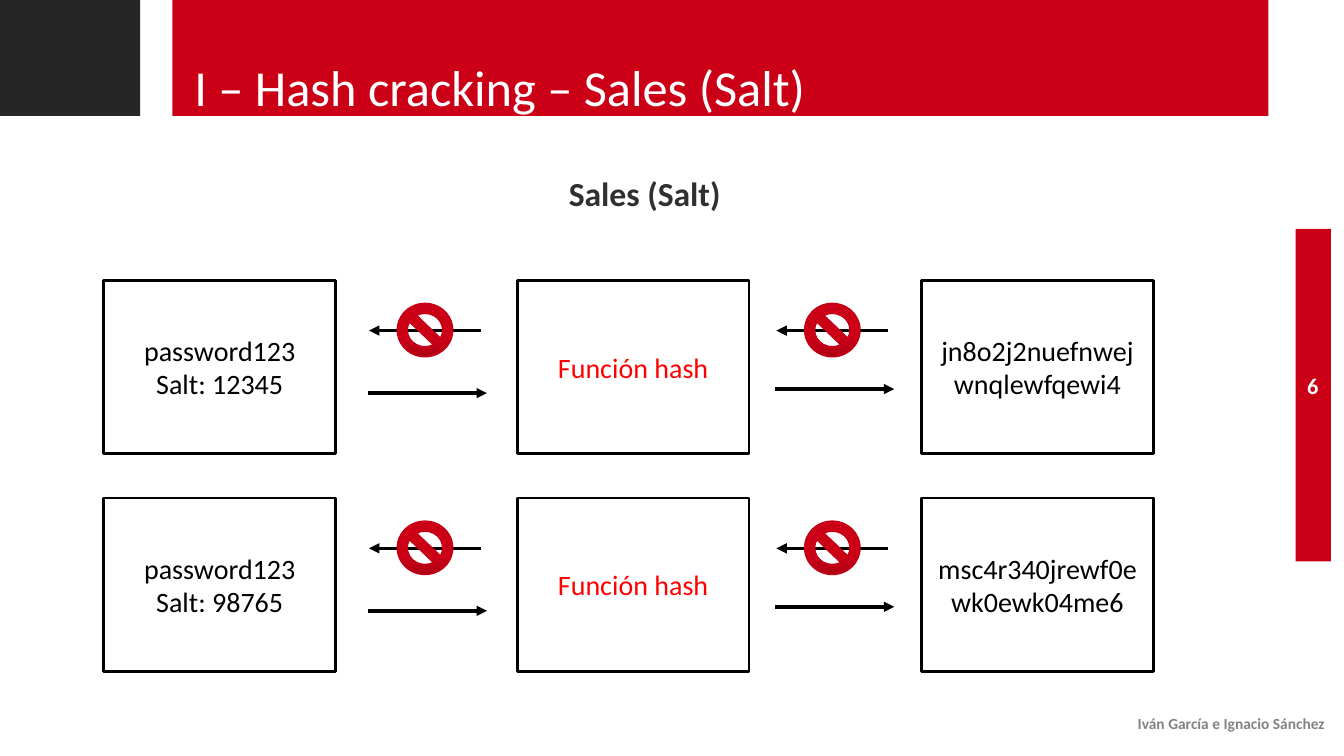
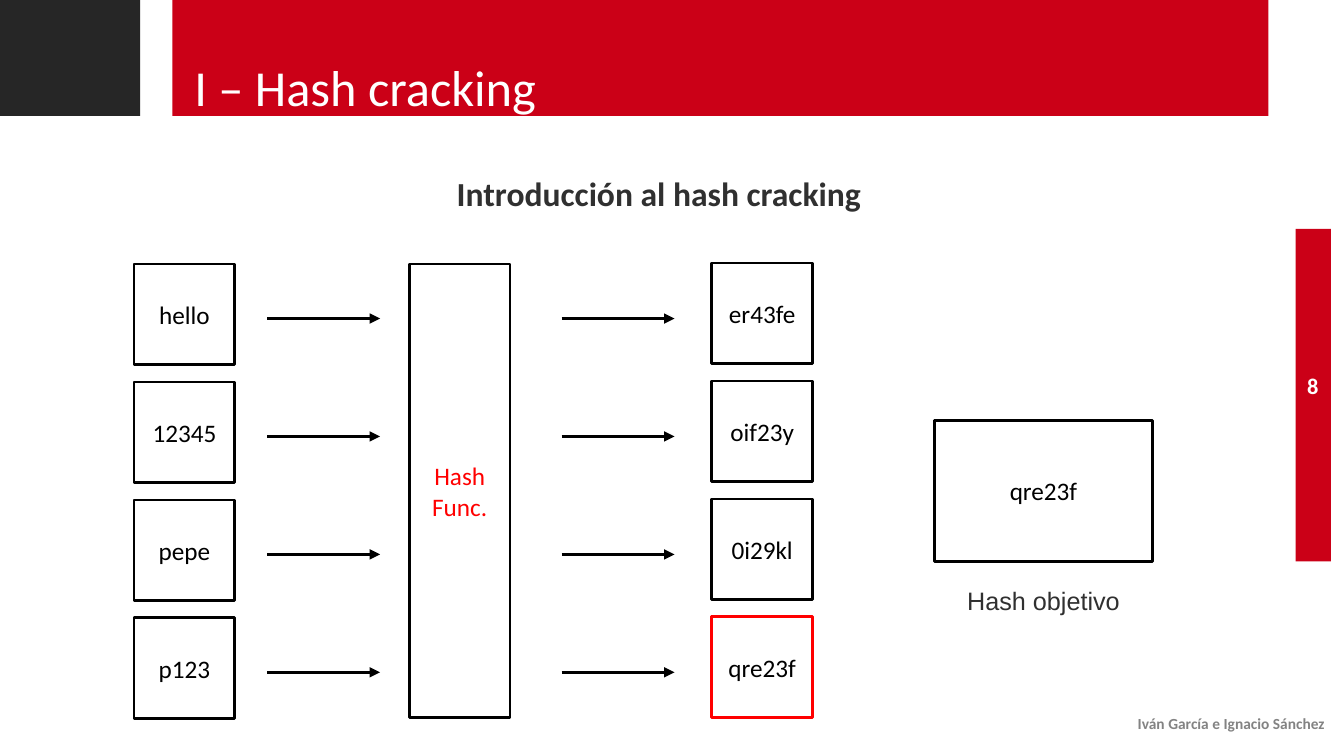
from pptx import Presentation
from pptx.dml.color import RGBColor
from pptx.enum.shapes import MSO_CONNECTOR, MSO_SHAPE
from pptx.enum.text import MSO_ANCHOR, PP_ALIGN
from pptx.oxml.ns import qn
from pptx.util import Inches, Pt
from lxml.etree import SubElement

RED = RGBColor(0xCB, 0x00, 0x17)
DEEP = RGBColor(0xAE, 0x00, 0x14)
EDGE = RGBColor(0xC7, 0x00, 0x16)
ALERT = RGBColor(0xFF, 0x00, 0x00)
DARK = RGBColor(0x26, 0x26, 0x26)
INK = RGBColor(0x30, 0x30, 0x30)
GREY = RGBColor(0x83, 0x83, 0x83)
BLACK = RGBColor(0x00, 0x00, 0x00)
WHITE = RGBColor(0xFF, 0xFF, 0xFF)


def write(frame, text, size, color, align=PP_ALIGN.CENTER,
          anchor=MSO_ANCHOR.MIDDLE, bold=False, font="Calibri"):
    frame.word_wrap = True
    frame.vertical_anchor = anchor
    frame.text = text
    for para in frame.paragraphs:
        para.alignment = align
        for run in para.runs:
            run.font.name = font
            run.font.size = Pt(size)
            run.font.bold = bold
            run.font.color.rgb = color


def label(slide, area, text, size, color, **style):
    box = slide.shapes.add_textbox(*map(Inches, area))
    write(box.text_frame, text, size, color, **style)
    return box.text_frame


def band(slide, area, color):
    shape = slide.shapes.add_shape(MSO_SHAPE.RECTANGLE, *map(Inches, area))
    shape.shadow.inherit = False
    shape.fill.solid()
    shape.fill.fore_color.rgb = color
    shape.line.fill.background()
    return shape


def card(slide, area, text, size, color=BLACK, edge=BLACK):
    shape = band(slide, area, WHITE)
    shape.line.color.rgb = edge
    shape.line.width = Pt(2)
    write(shape.text_frame, text, size, color)


def arrow(slide, start, end, top):
    line = slide.shapes.add_connector(
        MSO_CONNECTOR.STRAIGHT,
        Inches(start), Inches(top), Inches(end), Inches(top))
    line.line.color.rgb = BLACK
    line.line.width = Pt(2.5)
    props = line._element.spPr
    SubElement(props.find(qn("a:ln")), qn("a:tailEnd"), type="triangle")
    SubElement(props, qn("a:effectLst"))


def ban(slide, left, top):
    sign = slide.shapes.add_shape(
        MSO_SHAPE.NO_SYMBOL,
        Inches(left), Inches(top), Inches(0.55), Inches(0.53))
    sign.shadow.inherit = False
    sign.fill.gradient()
    sign.fill.gradient_angle = 90
    for stop, color, place in zip(sign.fill.gradient_stops, (DEEP, RED), (0, 0.35)):
        stop.color.rgb = color
        stop.position = place
    sign.line.color.rgb = EDGE
    sign.line.width = Pt(1)


def start(deck, title, head, width, page):
    slide = deck.slides.add_slide(deck.slide_layouts[6])
    band(slide, (12.85, 2.27, 0.35, 3.3), RED)
    band(slide, (1.71, 0, 10.87, 1.15), RED)
    band(slide, (0, 0, 1.39, 1.15), DARK)
    label(slide, (12.65, 3.63, 0.74, 0.4), page, 16, WHITE, bold=True)
    label(slide, (4.48, 6.98, 8.76, 0.4), "Iván García e Ignacio Sánchez",
          11, GREY, align=PP_ALIGN.RIGHT, bold=True)
    label(slide, (4.06, 1.67, width, 0.53), head, 24, INK,
          anchor=MSO_ANCHOR.TOP, bold=True)
    frame = label(slide, (1.83, 0.06, 10.36, 1.15), title, 36, WHITE,
                  align=PP_ALIGN.LEFT, anchor=MSO_ANCHOR.BOTTOM)
    frame.paragraphs[0].line_spacing = Pt(36)
    return slide


def salts(deck):
    slide = start(deck, "I – Hash cracking – Sales (Salt)", "Sales (Salt)", 4.67, "6")
    rows = (("12345", "jn8o2j2nuefnwejwnqlewfqewi4"),
            ("98765", "msc4r340jrewf0ewk0ewk04me6"))
    for row, (salt, digest) in enumerate(rows):
        top = 2.78 + row * 2.16
        cells = ((1.03, f"password123\nSalt: {salt}", BLACK),
                 (5.13, "Función hash", ALERT),
                 (9.14, digest, BLACK))
        for left, text, color in cells:
            card(slide, (left, top, 2.3, 1.72), text, 20, color)
        for left, drop in ((3.65, 1.12), (7.69, 1.08)):
            arrow(slide, left, left + 1.18, top + drop)
            arrow(slide, left + 1.12, left + 0.01, top + 0.5)
            ban(slide, left + 0.29, top + 0.23)


def intro(deck):
    slide = start(deck, "I – Hash cracking", "Introducción al hash cracking", 4.95, "8")
    card(slide, (4.06, 2.62, 1, 4.5), "Hash\nFunc.", 18, ALERT)
    target = "qre23f"
    pairs = (("hello", "er43fe"), ("12345", "oif23y"),
             ("pepe", "0i29kl"), ("p123", target))
    for row, (word, digest) in enumerate(pairs):
        top = 2.62 + row * 1.17
        edge = ALERT if digest == target else BLACK
        card(slide, (1.33, top, 1, 1), word, 18)
        card(slide, (7.06, top - 0.01, 1, 1), digest, 18, edge=edge)
        for left in (2.65, 5.57):
            arrow(slide, left, left + 1.12, top + 0.54)
    card(slide, (9.27, 4.17, 2.16, 1.4), target, 18)
    label(slide, (9.27, 5.76, 2.16, 0.39), "Hash objetivo", 18, INK,
          anchor=MSO_ANCHOR.TOP, font="Arial")


def main():
    deck = Presentation()
    deck.slide_width = Inches(13.33)
    deck.slide_height = Inches(7.5)
    salts(deck)
    intro(deck)
    deck.save("out.pptx")


if __name__ == "__main__":
    main()
